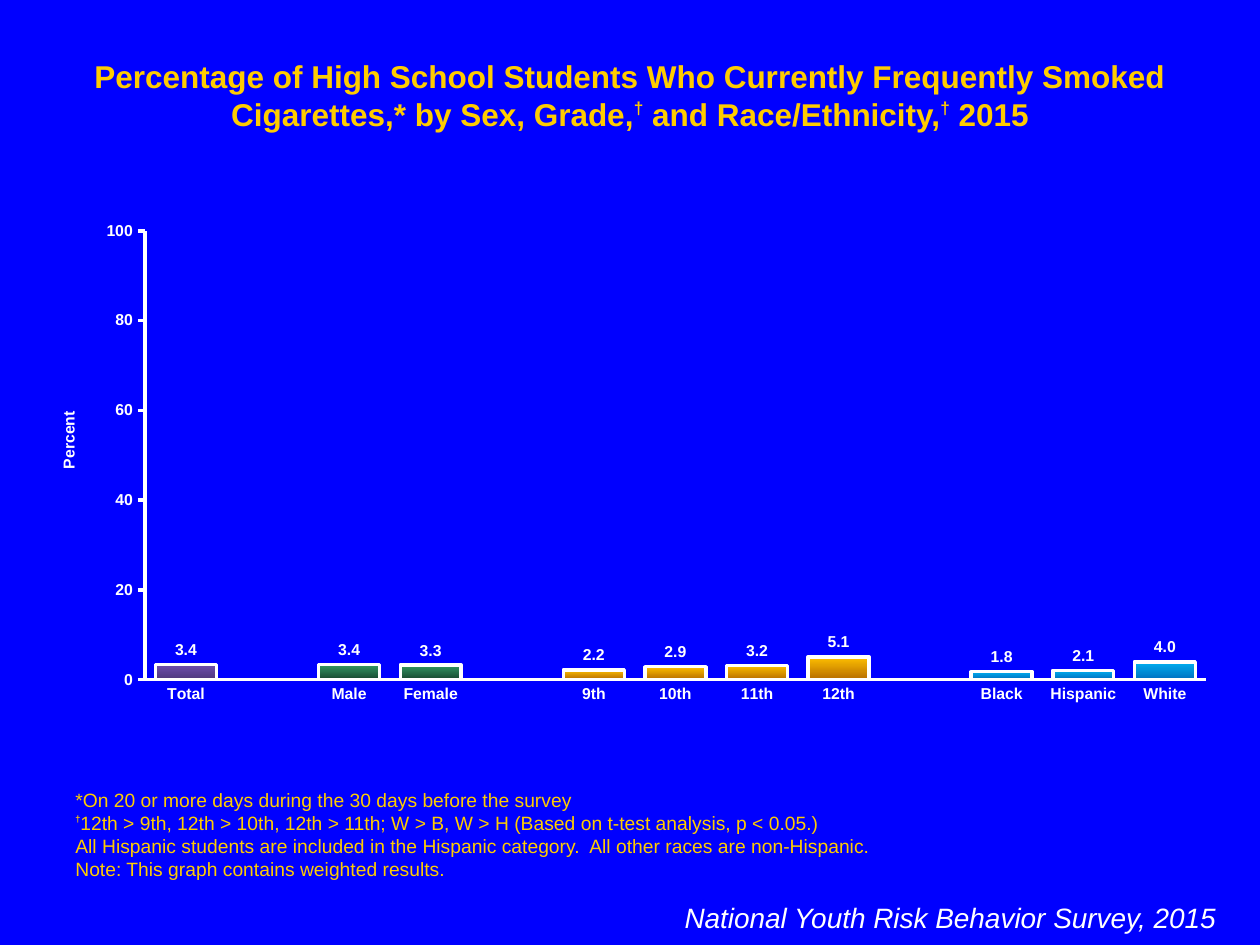
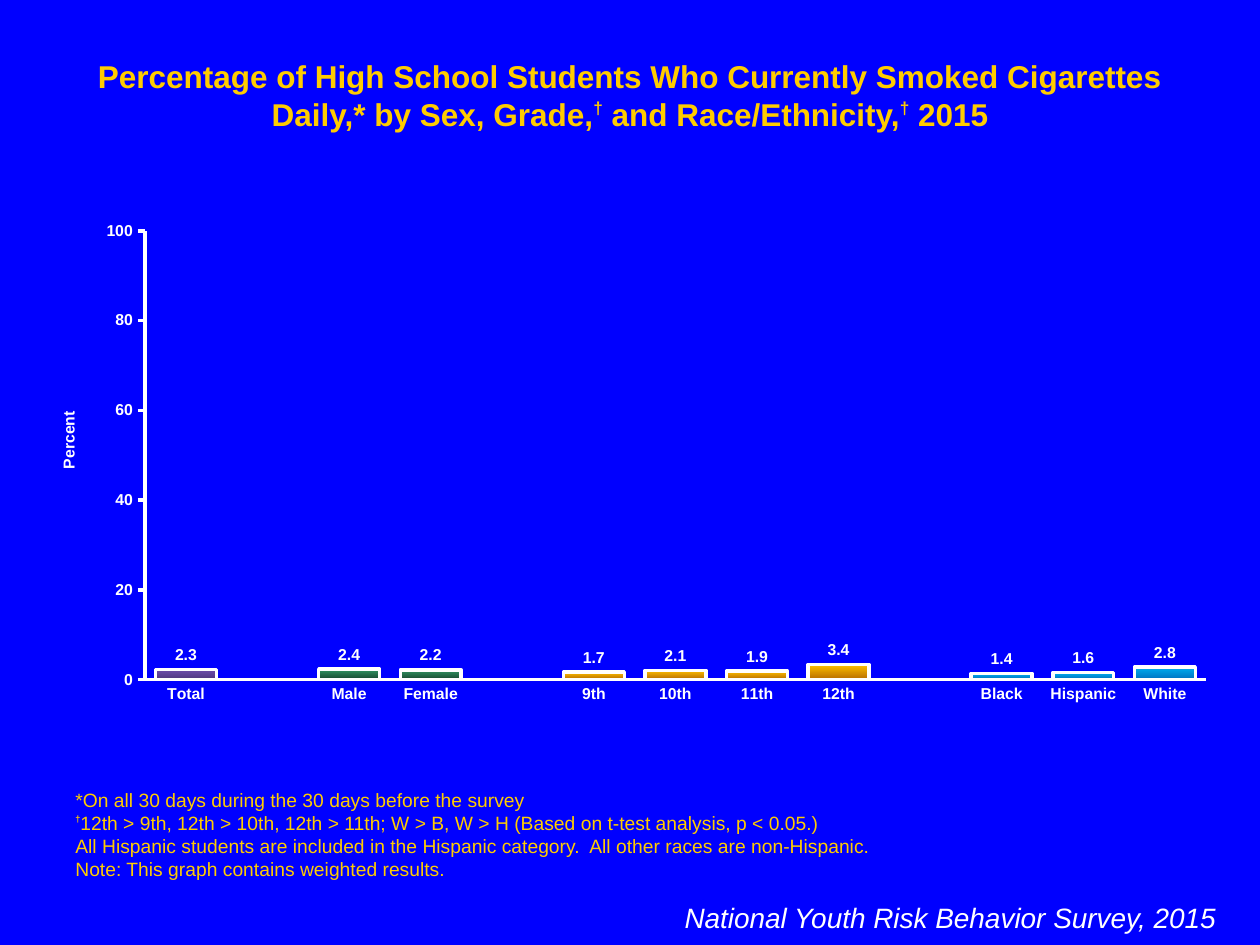
from lxml import etree
from pptx import Presentation
from pptx.chart.data import CategoryChartData
from pptx.dml.color import RGBColor
from pptx.enum.chart import XL_CHART_TYPE, XL_LABEL_POSITION, XL_TICK_MARK
from pptx.enum.text import MSO_ANCHOR, MSO_AUTO_SIZE, PP_ALIGN
from pptx.oxml.ns import qn
from pptx.util import Emu, Pt

COLUMN = XL_CHART_TYPE.COLUMN_CLUSTERED
OUTSIDE_END = XL_LABEL_POSITION.OUTSIDE_END
TICK_NONE, TICK_OUT = XL_TICK_MARK.NONE, XL_TICK_MARK.OUTSIDE
TOP, BOTTOM = MSO_ANCHOR.TOP, MSO_ANCHOR.BOTTOM
LEFT, CENTER, RIGHT = PP_ALIGN.LEFT, PP_ALIGN.CENTER, PP_ALIGN.RIGHT
NO_AUTOFIT = MSO_AUTO_SIZE.NONE

EMU_PER_PX = 9144
FONT = "Arial"
BLUE, GOLD, WHITE = "0000FF", "FFCC00", "FFFFFF"
TITLE_BOX = (50, 40, 900, 72)
CHART_BOX = (25, 169, 950, 398)
NOTES_BOX = (50, 620, 900, 84)
SOURCE_BOX = (425, 710, 550, 40)

GROUPS = [
    (["Total"], ("6E4EAE", "4F387C")),
    (["Male", "Female"], ("339966", "18472F")),
    (["9th", "10th", "11th", "12th"], ("FFC000", "B66D00")),
    (["Black", "Hispanic", "White"], ("00B0F0", "0070C0")),
]
TITLE_END = " by Sex, Grade,† and Race/Ethnicity,† 2015"
SHARED_NOTES = [
    "†12th > 9th, 12th > 10th, 12th > 11th; W > B, W > H (Based on t-test analysis, p < 0.05.)",
    "All Hispanic students are included in the Hispanic category.  All other races are non-Hispanic.",
    "Note: This graph contains weighted results.",
]
SOURCE = "National Youth Risk Behavior Survey, 2015"
SLIDES = [
    (
        "Percentage of High School Students Who Currently Frequently Smoked Cigarettes,*",
        "*On 20 or more days during the 30 days before the survey",
        [[3.4], [3.4, 3.3], [2.2, 2.9, 3.2, 5.1], [1.8, 2.1, 4.0]],
    ),
    (
        "Percentage of High School Students Who Currently Smoked Cigarettes Daily,*",
        "*On all 30 days during the 30 days before the survey",
        [[2.3], [2.4, 2.2], [1.7, 2.1, 1.9, 3.4], [1.4, 1.6, 2.8]],
    ),
]


def px(length):
    return Emu(length * EMU_PER_PX)


def color(hex_string):
    return RGBColor.from_string(hex_string)


def style_font(font, size, hex_string, bold=False, italic=False):
    font.name, font.size = FONT, Pt(size)
    font.bold, font.italic = bold, italic
    font.color.rgb = color(hex_string)


def style_line(line, hex_string):
    line.color.rgb = color(hex_string)
    line.width = Pt(2)


def place(shape, box):
    shape.left, shape.top, shape.width, shape.height = map(px, box)


def prepare_frame(shape, anchor):
    text_frame = shape.text_frame
    text_frame.word_wrap = True
    text_frame.auto_size = NO_AUTOFIT
    text_frame.vertical_anchor = anchor
    return text_frame


def add_runs(paragraph, text, size, hex_string, dagger_size, dagger_raise, bold=False):
    for index, part in enumerate(text.split("†")):
        if index:
            dagger = paragraph.add_run()
            dagger.text = "†"
            style_font(dagger.font, dagger_size, hex_string, True)
            dagger._r.get_or_add_rPr().set("baseline", str(dagger_raise * 1000))
        if part:
            run = paragraph.add_run()
            run.text = part
            style_font(run.font, size, hex_string, bold)


def set_title(slide, text, box):
    title = slide.shapes.title
    place(title, box)
    paragraph = prepare_frame(title, TOP).paragraphs[0]
    paragraph.alignment = CENTER
    add_runs(paragraph, text, 18, GOLD, 17, 40, True)


def add_notes(slide, notes, box):
    text_frame = prepare_frame(slide.shapes.add_textbox(*map(px, box)), BOTTOM)
    for index, note in enumerate(notes):
        paragraph = text_frame.add_paragraph() if index else text_frame.paragraphs[0]
        paragraph.alignment = LEFT
        add_runs(paragraph, note, 11, GOLD, 9, 50)


def add_source(slide, box):
    text_frame = prepare_frame(slide.shapes.add_textbox(*map(px, box)), TOP)
    text_frame.text = SOURCE
    paragraph = text_frame.paragraphs[0]
    paragraph.alignment = RIGHT
    style_font(paragraph.runs[0].font, 16, WHITE, italic=True)


def set_layout(element, index, **settings):
    for old_layout in element.findall(qn("c:layout")):
        element.remove(old_layout)
    layout = etree.Element(qn("c:layout"))
    manual = etree.SubElement(layout, qn("c:manualLayout"))
    for name, value in settings.items():
        etree.SubElement(manual, qn("c:" + name)).set("val", str(value))
    element.insert(index, layout)


def style_axis(axis, tick_mark):
    axis.has_major_gridlines = False
    axis.major_tick_mark = tick_mark
    axis.minor_tick_mark = TICK_NONE
    style_font(axis.tick_labels.font, 9, WHITE, True)
    style_line(axis.format.line, WHITE)


def add_percent_title(axis):
    axis_title = axis.axis_title
    text_frame = axis_title.text_frame
    text_frame.text = "Percent"
    style_font(text_frame.paragraphs[0].runs[0].font, 9, WHITE, True)
    body = text_frame._txBody.bodyPr
    body.set("rot", "-5400000")
    body.set("vert", "horz")
    set_layout(axis_title._element, 1, xMode="edge", yMode="edge", x=0.02, y=0.39)


def add_percent_chart(slide, grouped_values, box):
    categories, values, gradients = [], [], []
    for (names, gradient), numbers in zip(GROUPS, grouped_values):
        if categories:
            categories.append("")
            values.append(None)
            gradients.append(None)
        categories += names
        values += numbers
        gradients += [gradient] * len(names)

    chart_data = CategoryChartData()
    chart_data.categories = categories
    chart_data.add_series("Series 1", values)
    chart = slide.shapes.add_chart(COLUMN, *map(px, box), chart_data).chart
    chart.has_title = chart.has_legend = False
    style_font(chart.font, 18, WHITE)

    style_axis(chart.category_axis, TICK_NONE)
    value_axis = chart.value_axis
    style_axis(value_axis, TICK_OUT)
    value_axis.minimum_scale, value_axis.maximum_scale = 0, 100
    value_axis.major_unit = 20
    add_percent_title(value_axis)

    plot = chart.plots[0]
    plot.gap_width, plot.overlap = 34, 100
    plot.vary_by_categories = False
    plot.has_data_labels = True
    labels = plot.data_labels
    labels.show_value = True
    labels.number_format, labels.number_format_is_linked = "#,##0.0", False
    labels.position = OUTSIDE_END
    style_font(labels.font, 9, WHITE, True)

    series = plot.series[0]
    series.format.fill.solid()
    series.format.fill.fore_color.rgb = color("26CA59")
    style_line(series.format.line, WHITE)
    for index, gradient in enumerate(gradients):
        if gradient:
            point_format = series.points[index].format
            point_format.fill.gradient()
            point_format.fill.gradient_angle = 270
            for stop, hex_string in zip(point_format.fill.gradient_stops, gradient):
                stop.color.rgb = color(hex_string)
            style_line(point_format.line, WHITE)

    plot_area = chart._chartSpace.find(".//" + qn("c:plotArea"))
    set_layout(plot_area, 0, layoutTarget="inner", xMode="edge", yMode="edge",
               x=0.095, y=0.036, w=0.886, h=0.895)


def add_survey_slide(presentation, title, first_note, grouped_values):
    slide = presentation.slides.add_slide(presentation.slide_layouts.get_by_name("Title Only"))
    set_title(slide, title + TITLE_END, TITLE_BOX)
    add_notes(slide, [first_note] + SHARED_NOTES, NOTES_BOX)
    add_source(slide, SOURCE_BOX)
    add_percent_chart(slide, grouped_values, CHART_BOX)


def main():
    presentation = Presentation()
    presentation.slide_width, presentation.slide_height = px(1000), px(750)
    background = presentation.slide_master.background.fill
    background.solid()
    background.fore_color.rgb = color(BLUE)
    for content in SLIDES:
        add_survey_slide(presentation, *content)
    presentation.save("out.pptx")


if __name__ == "__main__":
    main()
